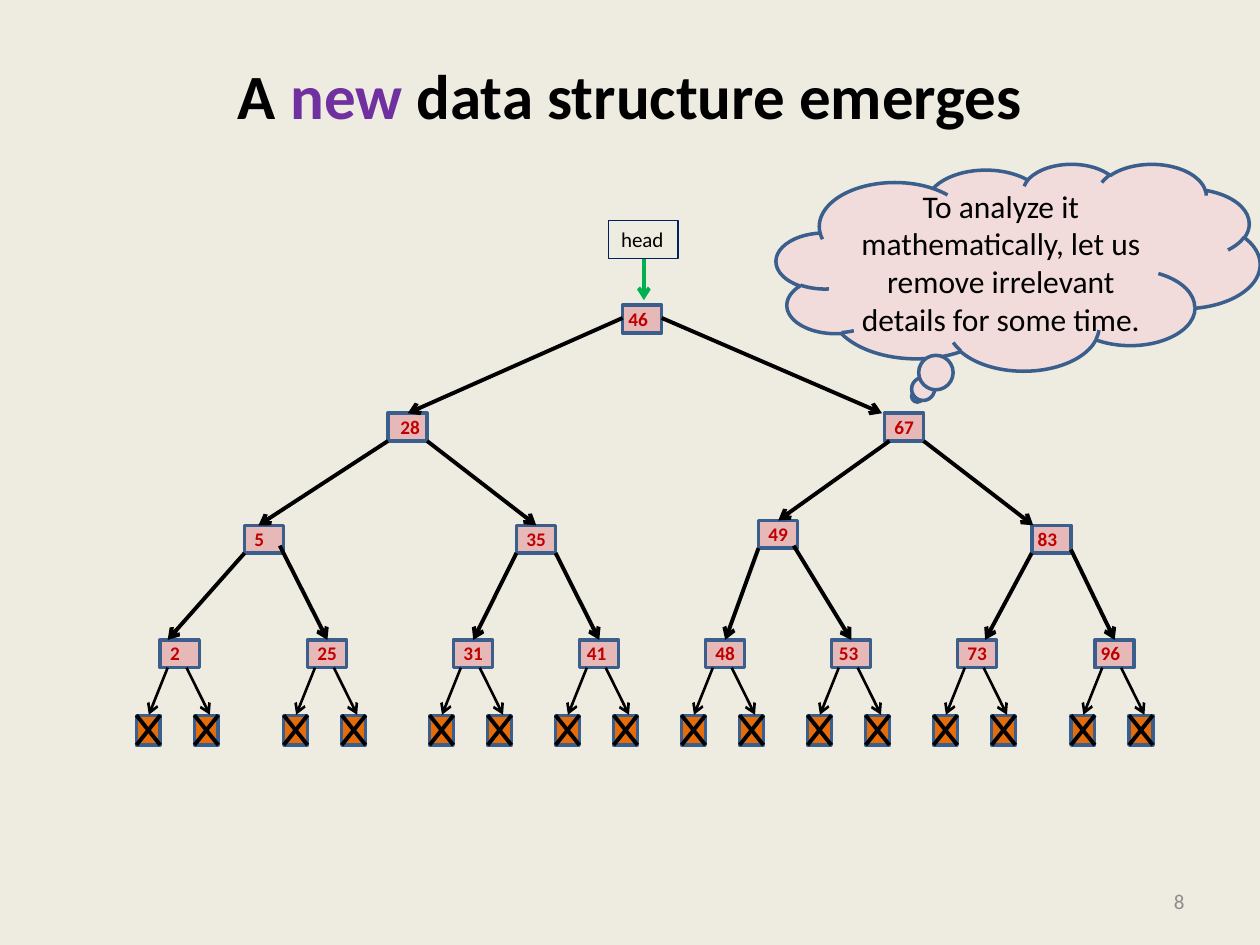
from dataclasses import dataclass

from pptx import Presentation
from pptx.dml.color import RGBColor
from pptx.enum.shapes import MSO_CONNECTOR, MSO_SHAPE
from pptx.enum.text import MSO_ANCHOR, PP_ALIGN
from pptx.oxml.ns import qn
from pptx.util import Cm, Pt
from lxml.etree import SubElement

FONT = "Calibri"
CREAM = RGBColor(0xEE, 0xEC, 0xE1)
BLACK = RGBColor(0x00, 0x00, 0x00)
PURPLE = RGBColor(0x70, 0x30, 0xA0)
GREY = RGBColor(0x8C, 0x8C, 0x8C)
PINK = RGBColor(0xE6, 0xB9, 0xB8)
PALE_PINK = RGBColor(0xF2, 0xDC, 0xDB)
BLUE = RGBColor(0x3A, 0x5F, 0x8C)
NAVY = RGBColor(0x00, 0x20, 0x60)
ORANGE = RGBColor(0xE4, 0x6C, 0x0A)
GREEN = RGBColor(0x00, 0xB0, 0x50)
RED = RGBColor(0xC0, 0x00, 0x00)

# All lengths below are in centimetres
NODE_W, NODE_H = 0.79, 0.56
NULL_W, NULL_H = 0.48, 0.6


@dataclass
class Box:
    left: float
    top: float
    width: float
    height: float

    def inner(self, x, y, width, height):
        return Box(self.left + x, self.top + y, width, height)

    def lengths(self):
        return [Cm(v) for v in (self.left, self.top, self.width, self.height)]


@dataclass
class Node:
    key: int
    x: float
    y: float
    label_shift: float = -0.05
    arrive: float = 0.4  # where the incoming arrow meets the top edge


# Level order: the children of node i are nodes 2i + 1 and 2i + 2
NODES = [
    Node(46, 9.81, 1.7, -0.13),
    Node(28, 5.08, 3.88, 0), Node(67, 15.09, 3.88, -0.05, -0.05),
    Node(5, 2.19, 6.14, -0.05, 0.28), Node(35, 7.67, 6.14),
    Node(49, 12.55, 6.04), Node(83, 18.06, 6.14, -0.13, 0.03),
    Node(2, 0.49, 8.45, -0.05, 0.15), Node(25, 3.46, 8.45),
    Node(31, 6.4, 8.45), Node(41, 8.94, 8.45, -0.1),
    Node(48, 11.48, 8.45), Node(53, 14.02, 8.45, -0.1),
    Node(73, 16.56, 8.45, -0.05, 0.56), Node(96, 19.33, 8.45, -0.13),
]
# Arrow starts that lie off the bottom corner: (parent, side) -> (dx, dy)
START_SHIFTS = {
    (46, 0): (0, -0.3), (46, 1): (0, -0.3), (67, 0): (0.1, 0),
    (5, 1): (-0.08, -0.15), (49, 1): (-0.08, -0.05), (83, 1): (0, -0.07),
}


def add_shape(page, kind, box, fill, line, line_width):
    shape = page.shapes.add_shape(kind, *box.lengths())
    shape.shadow.inherit = False
    if fill is None:
        shape.fill.background()
    else:
        shape.fill.solid()
        shape.fill.fore_color.rgb = fill
    shape.line.color.rgb = line
    shape.line.width = Pt(line_width)
    return shape


def add_line(page, box, start, end, width=2.25, color=BLACK, arrow=True):
    points = [Cm(v) for v in (box.left + start[0], box.top + start[1],
                              box.left + end[0], box.top + end[1])]
    line = page.shapes.add_connector(MSO_CONNECTOR.STRAIGHT, *points)
    line.line.color.rgb = color
    line.line.width = Pt(width)
    if arrow:
        SubElement(line.line._get_or_add_ln(), qn("a:tailEnd"), type="arrow")
    SubElement(line._element.spPr, qn("a:effectLst"))


def set_text(shape, spans, size, align=PP_ALIGN.LEFT, anchor=MSO_ANCHOR.TOP,
             bold=False, wrap=True):
    frame = shape.text_frame
    frame.word_wrap = wrap
    frame.vertical_anchor = anchor
    para = frame.paragraphs[0]
    para.alignment = align
    para.font.name, para.font.size, para.font.bold = FONT, Pt(size), bold
    for text, color in spans:
        span = para.add_run()
        span.text = text
        span.font.color.rgb = color


def add_text(page, box, spans, size, **options):
    shape = page.shapes.add_textbox(*box.lengths())
    set_text(shape, spans, size, **options)
    return shape


def draw_title(page, box):
    title = add_text(page, box,
                     [("A", BLACK), (" new ", PURPLE),
                      ("data structure emerges", BLACK)],
                     36, align=PP_ALIGN.CENTER, anchor=MSO_ANCHOR.MIDDLE, bold=True)
    title.text_frame.margin_bottom = Cm(1.04)


def draw_null_children(page, box):
    """Two crossed-out boxes below the leaf node that fills the box."""
    for x, start, end in ((-0.48, 0.15, -0.23), (0.69, 0.53, 1.0)):
        null = box.inner(x, 1.52, NULL_W, NULL_H)
        add_shape(page, MSO_SHAPE.RECTANGLE, null, ORANGE, BLUE, 2)
        for left, right in ((0, NULL_W), (NULL_W, 0)):
            add_line(page, null, (left, 0), (right, NULL_H), arrow=False)
        add_line(page, box, (start, NODE_H), (end, 1.51), width=1.5)


def draw_tree(page, box):
    # Nodes, with null children under the lowest level
    first_leaf = len(NODES) // 2
    for index, node in enumerate(NODES):
        node_box = box.inner(node.x, node.y, NODE_W, NODE_H)
        add_shape(page, MSO_SHAPE.RECTANGLE, node_box, PINK, BLUE, 2)
        if index >= first_leaf:
            draw_null_children(page, node_box)

    # Arrows from parents to children
    for index, child in enumerate(NODES[1:]):
        parent, side = NODES[index // 2], index % 2
        dx, dy = START_SHIFTS.get((parent.key, side), (0, 0))
        add_line(page, box,
                 (parent.x + side * NODE_W + dx, parent.y + NODE_H + dy),
                 (child.x + child.arrive, child.y))

    # Head pointer
    add_line(page, box, (10.24, 0.76), (10.24, 1.6), color=GREEN)
    head = add_shape(page, MSO_SHAPE.RECTANGLE, box.inner(9.53, 0, 1.4, 0.76),
                     None, NAVY, 0.75)
    set_text(head, [("head", BLACK)], 12)

    # Keys
    for node in NODES:
        width = 0.91 if node.key > 9 else 0.71
        add_text(page, box.inner(node.x + node.label_shift, node.y - 0.09, width, 0.74),
                 [(str(node.key), RED)], 11, bold=True, wrap=False)


def draw_thought(page, box):
    cloud = add_shape(page, MSO_SHAPE.CLOUD_CALLOUT, box, PALE_PINK, BLUE, 2)
    set_text(cloud, [("To analyze it mathematically, let us remove irrelevant "
                      "details for some time.", BLACK)],
             18, align=PP_ALIGN.CENTER, anchor=MSO_ANCHOR.MIDDLE)


def draw_page_number(page, box):
    add_text(page, box, [("8", GREY)], 12,
             align=PP_ALIGN.RIGHT, anchor=MSO_ANCHOR.MIDDLE)


def main():
    deck = Presentation()
    deck.slide_width, deck.slide_height = Cm(25.4), Cm(19.05)
    page = deck.slides.add_slide(deck.slide_layouts[6])
    page.background.fill.solid()
    page.background.fill.fore_color.rgb = CREAM

    draw_title(page, Box(1.27, 0.76, 22.86, 3.18))
    draw_page_number(page, Box(18.21, 17.65, 5.92, 1.02))
    draw_tree(page, Box(2.74, 4.45, 20.5, 10.57))
    draw_thought(page, Box(15.65, 3.3, 9.75, 4.17))
    deck.save("out.pptx")


if __name__ == "__main__":
    main()
